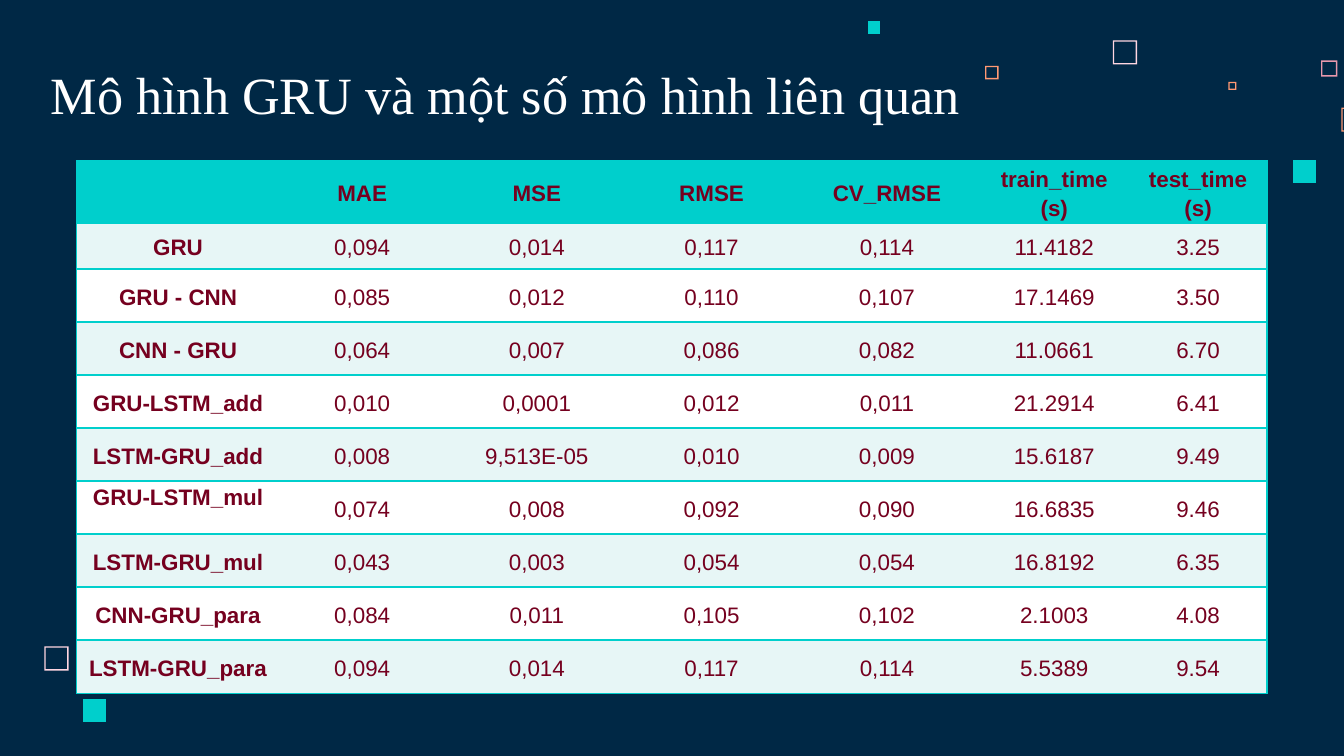
import pptx
import pptx.dml.color
import pptx.enum.text
import pptx.util
from lxml import etree
from pptx.util import Inches

theme = {
    "back": "002845", "teal": "00CFCC", "pink": "FFD6E1", "rose": "E898AC",
    "coral": "FF9973", "white": "FFFFFF", "mint": "E7F6F6", "wine": "75001F",
    "head": 28, "body": 12, "serif": "Times New Roman", "sans": "Arial",
}
NS = "http://schemas.openxmlformats.org/drawingml/2006/main"


def tint(name):
    return pptx.dml.color.RGBColor.from_string(theme[name])


def edge(cell, side, shown):
    props = cell._tc.get_or_add_tcPr()
    line = etree.SubElement(props, f"{{{NS}}}ln{side}", w="12700")
    if shown:
        fill = etree.SubElement(line, f"{{{NS}}}solidFill")
        etree.SubElement(fill, f"{{{NS}}}srgbClr", val=theme["teal"])
    else:
        etree.SubElement(line, f"{{{NS}}}noFill")


# Widescreen slide, 16 by 9
deck = pptx.Presentation()
deck.slide_width = Inches(10)
deck.slide_height = deck.slide_width * 9 // 16
slide = deck.slides.add_slide(deck.slide_layouts[6])
slide.background.fill.solid()
slide.background.fill.fore_color.rgb = tint("back")

# Scattered squares: left, top, side, rim (0 is solid), colour
squares = [
    (8.28, 0.3, 0.18, 0.01, "pink"), (9.83, 0.45, 0.12, 0.01, "rose"),
    (9.14, 0.61, 0.06, 0.01, "coral"), (9.98, 0.8, 0.18, 0.01, "coral"),
    (9.62, 1.19, 0.17, 0, "teal"), (7.33, 0.49, 0.1, 0.01, "coral"),
    (6.46, 0.16, 0.09, 0, "teal"), (0.33, 4.81, 0.18, 0.01, "pink"),
    (0.62, 5.2, 0.17, 0, "teal"),
]
for left, top, side, rim, color in squares:
    x, y, far, low = (Inches(n) for n in (left, top, left + side, top + side))
    pen = slide.shapes.build_freeform(x, y)
    pen.add_line_segments([(x, low), (far, low), (far, y)])
    if rim:
        gap = Inches(rim)
        pen.move_to(far - gap, y + gap)
        pen.add_line_segments([(far - gap, low - gap), (x + gap, low - gap), (x + gap, y + gap)])
    square = pen.convert_to_shape()
    square.shadow.inherit = False
    square.fill.solid()
    square.fill.fore_color.rgb = tint(color)
    square.line.fill.background()

# Title
title = slide.shapes.add_textbox(Inches(0.28), Inches(0.4), Inches(8.09), Inches(0.63))
frame = title.text_frame
frame.word_wrap = True
frame.vertical_anchor = pptx.enum.text.MSO_ANCHOR.BOTTOM
frame.margin_left = frame.margin_right = frame.margin_top = frame.margin_bottom = Inches(0.1)
frame.text = "Mô hình GRU và một số mô hình liên quan"
font = frame.paragraphs[0].runs[0].font
font.name, font.size = theme["serif"], pptx.util.Pt(theme["head"])
font.color.rgb = tint("white")

# Table of model scores
scores = [
    ["", "MAE", "MSE", "RMSE", "CV_RMSE", "train_time (s)", "test_time (s)"],
    ["GRU", "0,094", "0,014", "0,117", "0,114", "11.4182", "3.25"],
    ["GRU - CNN", "0,085", "0,012", "0,110", "0,107", "17.1469", "3.50"],
    ["CNN - GRU", "0,064", "0,007", "0,086", "0,082", "11.0661", "6.70"],
    ["GRU-LSTM_add", "0,010", "0,0001", "0,012", "0,011", "21.2914", "6.41"],
    ["LSTM-GRU_add", "0,008", "9,513E-05", "0,010", "0,009", "15.6187", "9.49"],
    ["GRU-LSTM_mul", "0,074", "0,008", "0,092", "0,090", "16.6835", "9.46"],
    ["LSTM-GRU_mul", "0,043", "0,003", "0,054", "0,054", "16.8192", "6.35"],
    ["CNN-GRU_para", "0,084", "0,011", "0,105", "0,102", "2.1003", "4.08"],
    ["LSTM-GRU_para", "0,094", "0,014", "0,117", "0,114", "5.5389", "9.54"],
]
widths = [1.51, 1.23, 1.37, 1.23, 1.38, 1.11, 1.03]
tall, first, second = 3.93, 0.43, 0.34
rest = (tall - first - second) / (len(scores) - 2)
heights = [first, second] + [rest] * (len(scores) - 2)
table = slide.shapes.add_table(len(scores), len(widths), Inches(0.57), Inches(1.2),
                               Inches(8.86), Inches(tall)).table
table.first_row = table.horz_banding = False
for col, width in zip(table.columns, widths):
    col.width = Inches(width)
for row, height in zip(table.rows, heights):
    row.height = Inches(height)

for r, line in enumerate(scores):
    for c, text in enumerate(line):
        cell = table.cell(r, c)
        edge(cell, "L", c == 0)
        edge(cell, "R", c == len(widths) - 1)
        edge(cell, "T", True)
        edge(cell, "B", True)
        cell.fill.solid()
        cell.fill.fore_color.rgb = tint("teal" if r == 0 else "mint" if r % 2 else "white")
        cell.margin_left = cell.margin_right = Inches(0.06)
        cell.margin_top = cell.margin_bottom = 0
        cell.vertical_anchor = pptx.enum.text.MSO_ANCHOR.MIDDLE
        cell.text_frame.text = text
        para = cell.text_frame.paragraphs[0]
        para.alignment = pptx.enum.text.PP_ALIGN.CENTER
        para.line_spacing = 1.15
        for run in para.runs:
            run.font.name, run.font.size = theme["sans"], pptx.util.Pt(theme["body"])
            run.font.bold = r == 0 or c == 0
            run.font.color.rgb = tint("wine")

# One row label sits at the top of its cell
table.cell(6, 0).vertical_anchor = pptx.enum.text.MSO_ANCHOR.TOP

deck.save("out.pptx")
